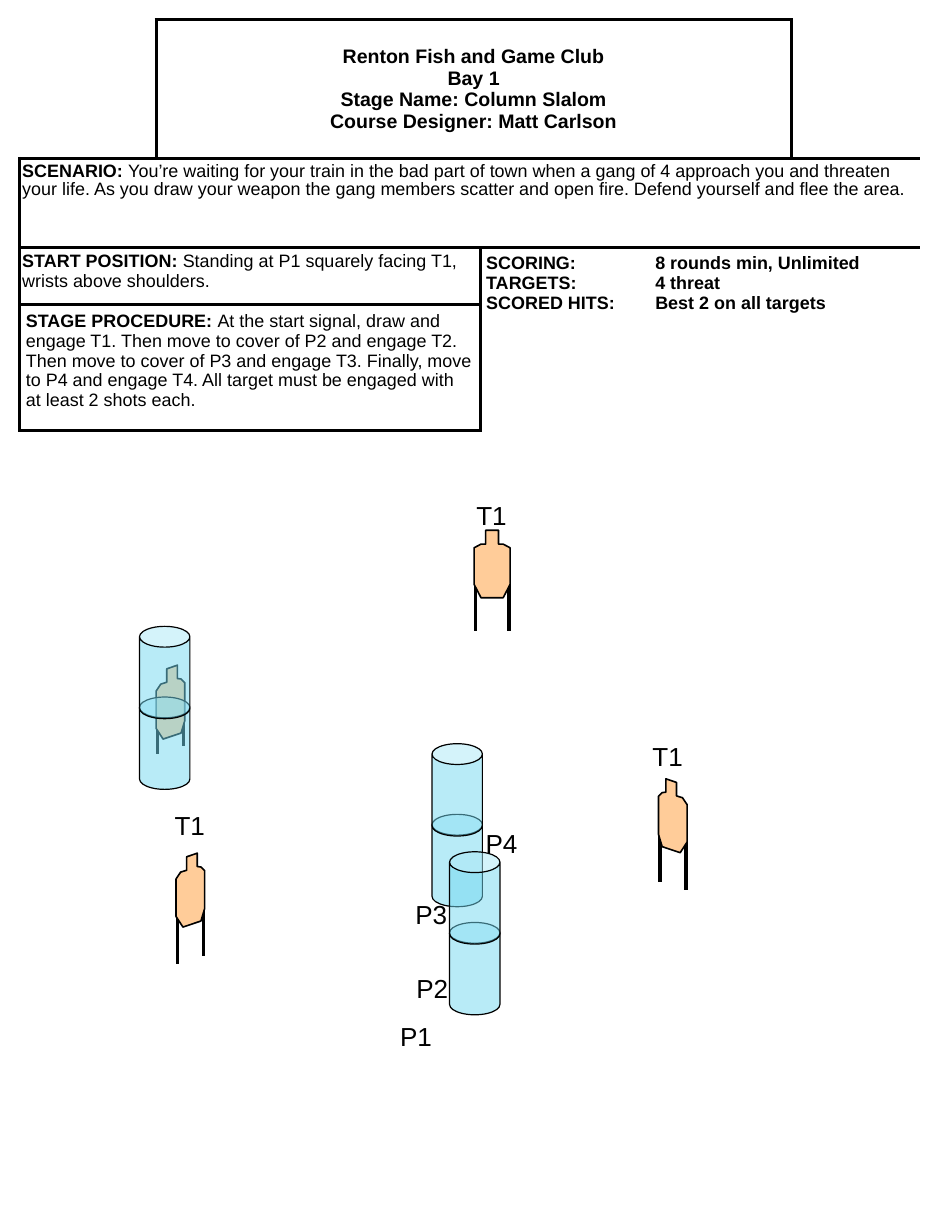
from lxml import etree
from pptx import Presentation
from pptx.dml.color import RGBColor
from pptx.enum.shapes import MSO_CONNECTOR, MSO_SHAPE
from pptx.enum.text import MSO_ANCHOR, PP_ALIGN
from pptx.oxml.ns import qn
from pptx.util import Cm, Pt

CAN = MSO_SHAPE.CAN
STRAIGHT = MSO_CONNECTOR.STRAIGHT
CENTER, LEFT = PP_ALIGN.CENTER, PP_ALIGN.LEFT
MIDDLE, TOP = MSO_ANCHOR.MIDDLE, MSO_ANCHOR.TOP

FONT = "Arial"
BLACK, WHITE, TAN, BLUE = "000000", "FFFFFF", "FFCC99", "73D9F1"

# Briefing table: sizes and merged areas in cm
COLS = [2.95, 7.01, 6.73, 2.79]
ROWS = [3.0, 1.93, 1.24, 2.72]
TAB = 3.66

# Target outlines and legs (x, top, bottom), relative to the body's corner
FRONT_W = 0.78
FRONT = [(0.25, 0), (0.53, 0), (0.53, 0.3), (0.63, 0.3), (0.78, 0.38), (0.78, 1.17),
         (0.63, 1.46), (0.15, 1.46), (0, 1.17), (0, 0.38), (0.15, 0.3), (0.25, 0.3)]
FRONT_LEGS = [(0.03, 1.07, 2.18), (0.75, 1.07, 2.18)]
SIDE_W = 0.62
SIDE = [(0.23, 0.08), (0.46, 0), (0.46, 0.29), (0.54, 0.3), (0.62, 0.38), (0.62, 1.2),
        (0.54, 1.47), (0.15, 1.6), (0, 1.37), (0, 0.56), (0.1, 0.41), (0.23, 0.37)]


def rgb(color):
    return RGBColor.from_string(color)


def add_text(p, text, size=11, bold=False):
    r = p.add_run()
    r.text = text
    r.font.name, r.font.size, r.font.bold = FONT, Pt(size), bold
    r.font.color.rgb = rgb(BLACK)
    return r


def style(s, fill, width, alpha=None):
    s.shadow.inherit = False
    s.fill.solid()
    s.fill.fore_color.rgb = rgb(fill)
    s.line.color.rgb = rgb(BLACK)
    s.line.width = Pt(width)
    if alpha:
        clr = s.fill._xPr.find(qn("a:solidFill"))[0]
        etree.SubElement(clr, qn("a:alpha")).set("val", str(alpha * 1000))


def set_borders(cell, sides):
    tcPr = cell._tc.get_or_add_tcPr()
    for side in "LRTB":
        ln = etree.SubElement(tcPr, qn("a:ln" + side), w=str(Pt(2.25)))
        if side in sides:
            fill = etree.SubElement(ln, qn("a:solidFill"))
            etree.SubElement(fill, qn("a:srgbClr"), val=BLACK)
        else:
            etree.SubElement(ln, qn("a:noFill"))


def fill_area(table, row, col, height=1, width=1, edges="LRTB", paragraphs=(),
              size=11, align=LEFT, anchor=TOP, inset=(0.13, 0.13), spacing=None, tab=None):
    """Merge an area, border its outer edges and write its paragraphs of (text, bold) runs."""
    last_row, last_col = row + height - 1, col + width - 1
    for r in range(row, last_row + 1):
        for c in range(col, last_col + 1):
            outer = {"L": c == col, "R": c == last_col, "T": r == row, "B": r == last_row}
            cell = table.cell(r, c)
            set_borders(cell, [e for e in edges if outer[e]])
            cell.fill.solid()
            cell.fill.fore_color.rgb = rgb(WHITE)
    cell = table.cell(row, col)
    if height * width > 1:
        cell.merge(table.cell(last_row, last_col))
    cell.margin_left = cell.margin_right = Cm(inset[0])
    cell.margin_top = cell.margin_bottom = Cm(inset[1])
    cell.vertical_anchor = anchor
    tf = cell.text_frame
    for i, runs in enumerate(paragraphs):
        p = tf.add_paragraph() if i else tf.paragraphs[0]
        if tab:
            tabs = etree.SubElement(p._p.get_or_add_pPr(), qn("a:tabLst"))
            etree.SubElement(tabs, qn("a:tab"), pos=str(Cm(tab)), algn="l")
        p.alignment = align
        if spacing:
            p.line_spacing = spacing
        for text, bold in runs:
            add_text(p, text, size, bold)


def add_briefing(slide, x, y):
    frame = slide.shapes.add_table(len(ROWS), len(COLS), Cm(x), Cm(y),
                                   Cm(sum(COLS)), Cm(sum(ROWS)))
    table = frame.table
    table.first_row = table.horz_banding = False
    for column, width in zip(table.columns, COLS):
        column.width = Cm(width)
    for row, height in zip(table.rows, ROWS):
        row.height = Cm(height)

    # Title with an open corner on each side
    title = ["Renton Fish and Game Club", "Bay 1", "Stage Name: Column Slalom",
             "Course Designer: Matt Carlson"]
    fill_area(table, 0, 0, edges="RB")
    fill_area(table, 0, 1, width=2, paragraphs=[[(t, True)] for t in title],
              size=12, align=CENTER, anchor=MIDDLE)
    fill_area(table, 0, 3, edges="LB")

    # Scenario, start, scoring and procedure
    fill_area(table, 1, 0, width=4, inset=(0.05, 0.1), spacing=0.9, paragraphs=[[
        ("SCENARIO: ", True),
        ("You’re waiting for your train in the bad part of town when a gang of 4 approach you "
         "and threaten your life. As you draw your weapon the gang members scatter and open "
         "fire. Defend yourself and flee the area.", False)]])
    fill_area(table, 2, 0, width=2, inset=(0.05, 0.08), paragraphs=[[
        ("START POSITION:", True),
        (" Standing at P1 squarely facing T1, wrists above shoulders.", False)]])
    scoring = [("SCORING:", "8 rounds min, Unlimited"), ("TARGETS:", "4 threat"),
               ("SCORED HITS:", "Best 2 on all targets")]
    fill_area(table, 2, 2, height=2, width=2, tab=TAB,
              paragraphs=[[("\t".join(pair), True)] for pair in scoring])
    fill_area(table, 3, 0, width=2, paragraphs=[[
        ("STAGE PROCEDURE: ", True),
        ("At the start signal, draw and engage T1. Then move to cover of P2 and engage T2. "
         "Then move to cover of P3 and engage T3. Finally, move to P4 and engage T4. All "
         "target must be engaged with at least 2 shots each.", False)]])


def add_target(slide, x, y, outline, legs, mirror_width=None):
    shapes = slide.shapes.add_group_shape().shapes

    def at(px, py):
        return Cm(x + (mirror_width - px if mirror_width else px)), Cm(y + py)

    for leg_x, top, bottom in legs:
        s = shapes.add_connector(STRAIGHT, *at(leg_x, top), *at(leg_x, bottom))
        s.line.color.rgb = rgb(BLACK)
        s.line.width = Pt(2.25)
        etree.SubElement(s._element.spPr, qn("a:effectLst"))
    points = [at(*point) for point in outline]
    builder = shapes.build_freeform(*points[0])
    builder.add_line_segments(points[1:], close=True)
    style(builder.convert_to_shape(), TAN, 1)


def add_side_target(slide, x, y, leg_end=2.4, mirror=False):
    legs = [(0.03, 1.2, leg_end), (0.59, 1.05, leg_end - 0.17)]
    add_target(slide, x, y, SIDE, legs, SIDE_W if mirror else None)


def add_column(slide, x, y):
    """Two stacked cans, the lower one behind."""
    shapes = slide.shapes.add_group_shape().shapes
    for dy in (1.53, 0):
        s = shapes.add_shape(CAN, Cm(x), Cm(y + dy), Cm(1.09), Cm(2))
        s.adjustments[0] = 0.413
        style(s, BLUE, 0.75, alpha=50)


def add_label(slide, text, x, y):
    s = slide.shapes.add_textbox(Cm(x), Cm(y), Cm(1.35), Cm(0.94))
    s.text_frame.word_wrap = True
    add_text(s.text_frame.paragraphs[0], text, size=16)


def main():
    prs = Presentation()
    prs.slide_width, prs.slide_height = Cm(20.32), Cm(26.67)
    slide = prs.slides.add_slide(prs.slide_layouts[6])

    add_briefing(slide, 0.43, 0.43)

    # Targets, one of them behind a column
    add_side_target(slide, 3.38, 14.4, leg_end=1.93)
    add_side_target(slide, 3.81, 18.47)
    add_side_target(slide, 14.25, 16.86, mirror=True)
    add_target(slide, 10.26, 11.48, FRONT, FRONT_LEGS)

    # Columns
    for x, y in [(3.02, 13.56), (9.35, 16.1), (9.73, 18.44)]:
        add_column(slide, x, y)

    # Labels
    for text, x, y in [("T1", 10.06, 10.69), ("T1", 3.53, 17.4), ("T1", 13.87, 15.9),
                       ("P1", 8.41, 21.97), ("P2", 8.76, 20.93), ("P3", 8.74, 19.33),
                       ("P4", 10.26, 17.78)]:
        add_label(slide, text, x, y)

    prs.save("out.pptx")


if __name__ == "__main__":
    main()
